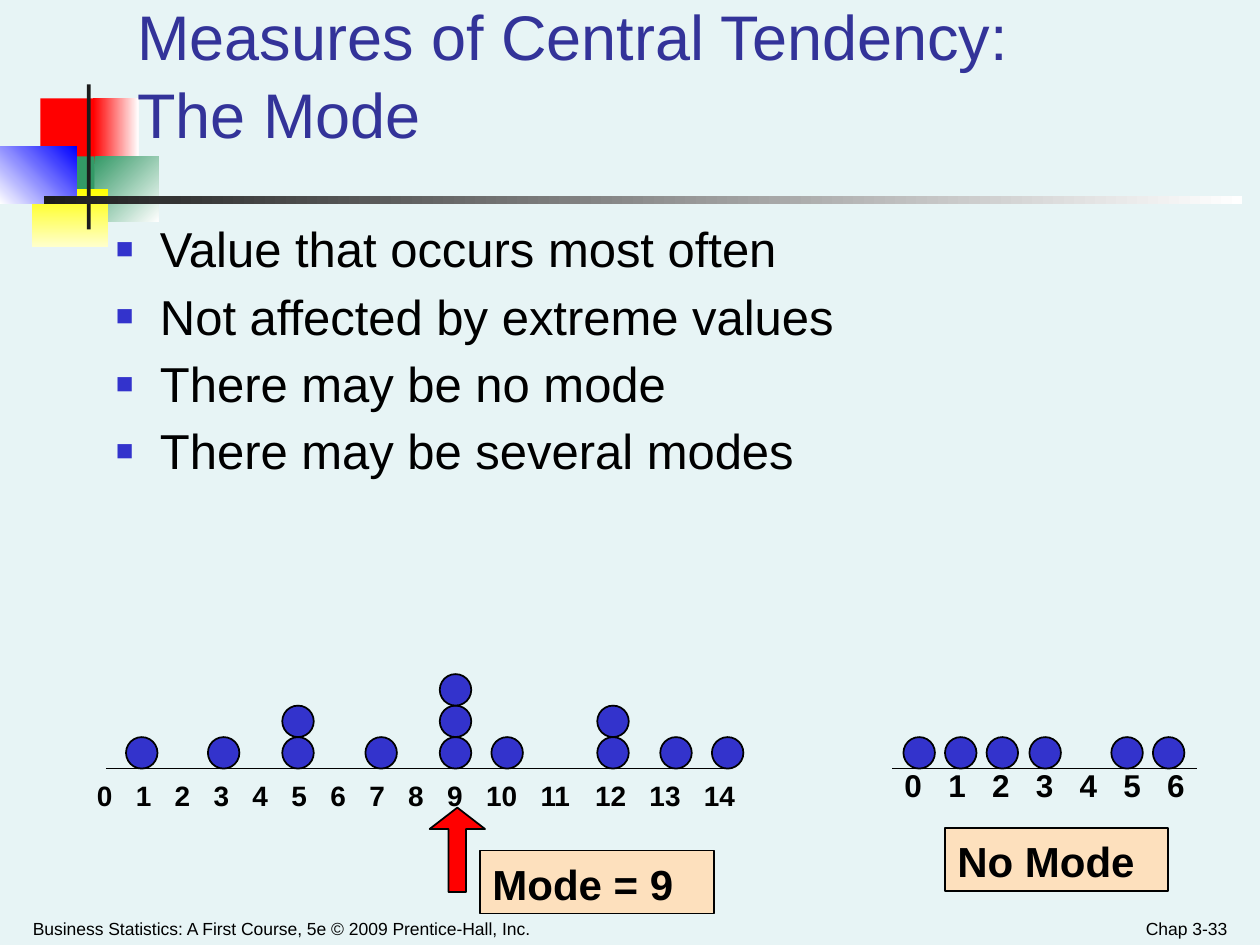
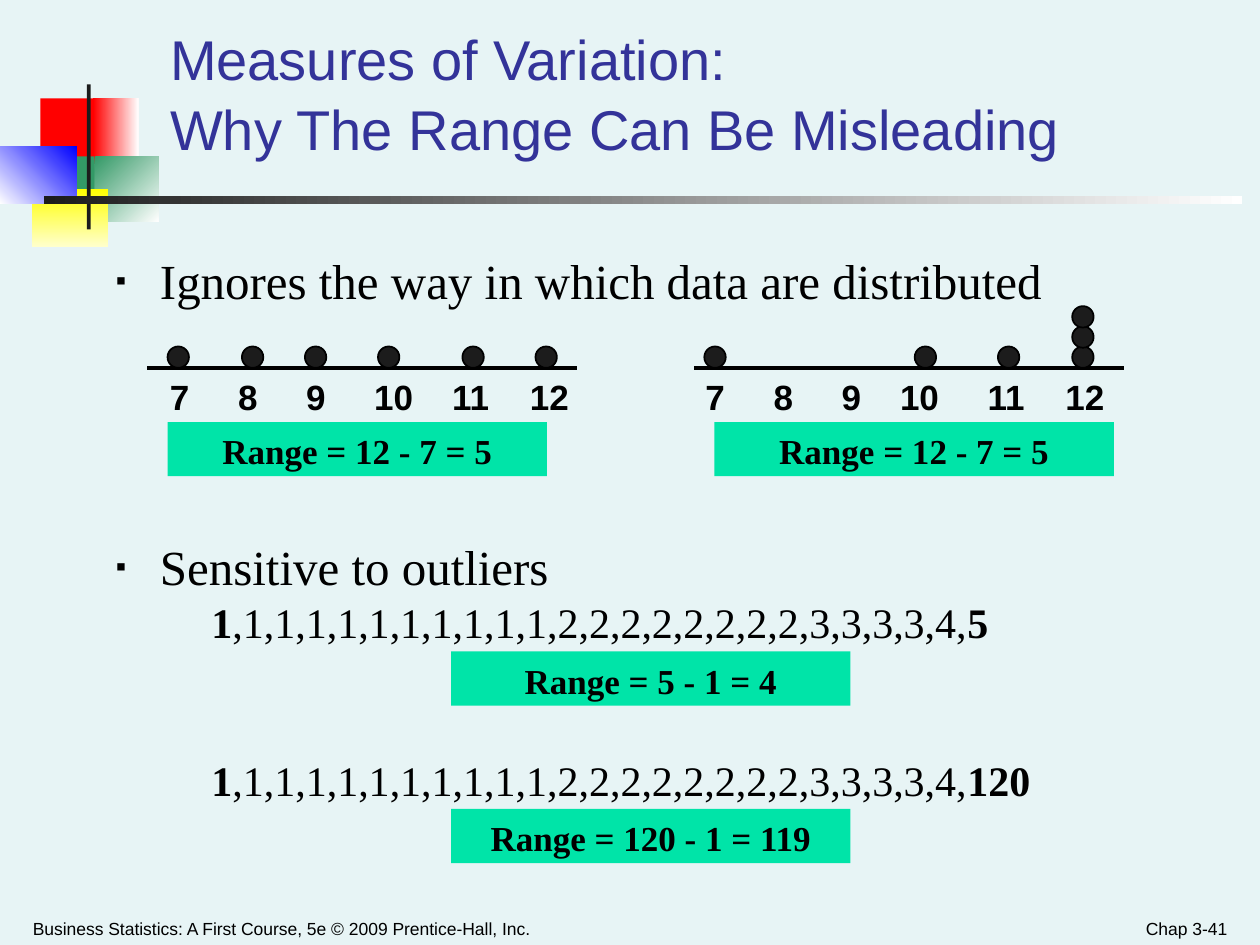
"""Build two statistics slides: the mode and the pitfalls of the range."""
from itertools import accumulate

from lxml import etree
from pptx import Presentation
from pptx import util as u
from pptx.dml.color import RGBColor
from pptx.enum import shapes, text
from pptx.oxml import ns

COLOURS = {
    "page": "E7F4F5", "title": "333399", "ink": "000000", "charcoal": "1C1C1C",
    "red": "FF0000", "green": "339966", "yellow": "FFFF00", "cream": "FFFFCC",
    "blue": "0000FF", "white": "FFFFFF", "dot": "3333CC", "peach": "FDE0BD", "mint": "00E4A8",
}
SANS, SERIF = "Arial", "Times New Roman"
RECT, OVAL, ARROW = (shapes.MSO_SHAPE.RECTANGLE, shapes.MSO_SHAPE.OVAL, shapes.MSO_SHAPE.UP_ARROW)
LEFT, CENTER, RIGHT = text.PP_ALIGN.LEFT, text.PP_ALIGN.CENTER, text.PP_ALIGN.RIGHT
TOP, BOTTOM = text.MSO_ANCHOR.TOP, text.MSO_ANCHOR.BOTTOM


def add_figure(slide, kind, at, fill, outline=None):
    """Add a preset shape with a plain fill, or a gradient given as (start, end, angle)."""
    figure = slide.shapes.add_shape(kind, *map(u.Inches, at))
    figure.shadow.inherit = False
    if isinstance(fill, tuple):
        start, end, angle = fill
        figure.fill.gradient()
        figure.fill.gradient_angle = -angle % 360
        for stop, colour in zip(figure.fill.gradient_stops, (start, end)):
            stop.color.rgb = RGBColor.from_string(COLOURS[colour])
    else:
        figure.fill.solid()
        figure.fill.fore_color.rgb = RGBColor.from_string(COLOURS[fill])
    if outline:
        figure.line.color.rgb = RGBColor.from_string(COLOURS[outline])
        figure.line.width = u.Pt(1)
    else:
        figure.line.fill.background()
    return figure


def write(slide, at, words, size, font=SANS, colour="ink", bold=False, align=LEFT,
          anchor=TOP, inset=0.1, holder=None):
    """Write words into the holder, or into a new text box, and return the paragraphs."""
    holder = holder or slide.shapes.add_textbox(*map(u.Inches, at))
    frame = holder.text_frame
    frame.word_wrap = True
    frame.vertical_anchor = anchor
    frame.margin_left = frame.margin_right = u.Inches(inset)
    frame.margin_top = frame.margin_bottom = u.Inches(0.05)
    frame.text = words
    for paragraph in frame.paragraphs:
        paragraph.alignment = align
        paragraph.line_spacing = 1.04
        for run in paragraph.runs:
            run.font.name, run.font.size, run.font.bold = font, u.Pt(size), bold
            run.font.color.rgb = RGBColor.from_string(COLOURS[colour])
    return frame.paragraphs


ornaments = [
    ((0.32, 0.78, 0.48, 0.52), "red"),
    ((0.74, 0.78, 0.36, 0.52), ("red", "white", 0)),
    ((0.75, 1.24, 0.51, 0.52), ("green", "white", 45)),
    ((0.43, 1.24, 0.32, 0.52), "green"),
    ((0.25, 1.5, 0.61, 0.46), ("yellow", "cream", 90)),
    ((0, 1.16, 0.61, 0.46), ("white", "blue", 315)),
    ((0.69, 0.67, 0.03, 1.15), "charcoal"),
    ((0.35, 1.56, 9.51, 0.06), ("charcoal", "white", 0)),
]

mode_page = {
    "title": "Measures of Central Tendency:\vThe Mode",
    "title_at": (1, 0.17, 8.52, 1.08), "title_size": 36, "number": "Chap 3-33",
    "points": ["Value that occurs most often", "Not affected by extreme values",
               "There may be no mode", "There may be several modes"],
    "points_top": 1.67, "font": SANS, "bullet": "■", "bullet_colour": "dot", "gap": 3.5,
    "dot": 0.25, "step": 0.25, "dot_colour": "dot", "axis_weight": 1,
    "axes": [
        {"span": (0.84, 5.76), "y": 6.1, "values": range(15), "spaces": [3] * 14,
         "size": 16, "labels_at": (0.67, 6.12),
         "stacks": [(1, 1), (1.65, 1), (2.24, 2), (2.9, 1), (3.49, 3), (3.9, 1),
                    (4.74, 2), (5.24, 1), (5.65, 1)]},
        {"span": (7.08, 9.5), "y": 6.1, "values": range(7), "spaces": [3] * 6,
         "size": 18, "labels_at": (7.08, 6.02),
         "stacks": [(x, 1) for x in (7.17, 7.5, 7.83, 8.17, 8.82, 9.15)]},
    ],
    "callouts": [((3.81, 6.75, 1.86, 0.5), "Mode = 9"), ((7.5, 6.57, 1.77, 0.5), "No Mode")],
    "callout_style": {"size": 24, "font": SANS, "align": LEFT},
    "callout_fill": ("peach", "ink"),
}
range_page = {
    "title": "Measures of Variation:\vWhy The Range Can Be Misleading",
    "title_at": (1.26, 0.25, 8.07, 1.08), "title_size": 32, "number": "Chap 3-41",
    "points": ["Ignores the way in which data are distributed", "Sensitive to outliers"],
    "points_top": 1.92, "font": SERIF, "bullet": "▪", "bullet_colour": "ink", "gap": 128.5,
    "dot": 0.17, "step": 0.16, "dot_colour": "charcoal", "axis_weight": 2.25,
    "axes": [
        {"span": (1.17, 4.58), "y": 2.92, "values": range(7, 13), "spaces": [5, 5, 5, 4, 4],
         "size": 20, "labels_at": (1.25, 2.92),
         "stacks": [(x, 1) for x in (1.33, 1.92, 2.42, 3, 3.67, 4.25)]},
        {"span": (5.51, 8.92), "y": 2.92, "values": range(7, 13), "spaces": [5, 5, 4, 5, 4],
         "size": 20, "labels_at": (5.5, 2.92),
         "stacks": [(5.59, 1), (7.26, 1), (7.92, 1), (8.51, 3)]},
    ],
    "callouts": [((1.33, 3.35, 3.01, 0.43), "Range = 12 - 7 = 5"),
                 ((5.67, 3.35, 3.17, 0.43), "Range = 12 - 7 = 5"),
                 ((3.58, 5.17, 3.17, 0.43), "Range = 5 - 1 = 4"),
                 ((3.58, 6.42, 3.17, 0.43), "Range = 120 - 1 = 119")],
    "callout_style": {"size": 20, "font": SERIF, "align": CENTER},
    "callout_fill": ("mint", None),
}

deck = Presentation()
deck.slide_width, deck.slide_height = u.Inches(10), u.Inches(7.5)
backdrop = deck.slide_master.background.fill
backdrop.solid()
backdrop.fore_color.rgb = RGBColor.from_string(COLOURS["page"])

for page in (mode_page, range_page):
    slide = deck.slides.add_slide(deck.slide_layouts[6])
    for at, fill in ornaments:
        add_figure(slide, RECT, at, fill)
    write(slide, (0.17, 7.15, 5.08, 0.35),
          "Business Statistics: A First Course, 5e © 2009 Prentice-Hall, Inc.",
          10, anchor=BOTTOM, inset=0.09)
    write(slide, (7.5, 7.15, 2.33, 0.35), page["number"], 10, align=RIGHT,
          anchor=BOTTOM, inset=0.09)
    write(slide, page["title_at"], page["title"], page["title_size"], colour="title",
          anchor=BOTTOM, inset=0.09)

    points = write(slide, (0.83, page["points_top"], 8.83, 4.5), "\n".join(page["points"]),
                   28, page["font"], inset=0.09)
    for index, point in enumerate(points):
        if index:
            point.space_before = u.Pt(page["gap"])
        properties = point._p.get_or_add_pPr()
        properties.set("marL", str(u.Inches(0.35)))
        properties.set("indent", str(-u.Inches(0.35)))
        tint = etree.SubElement(properties, ns.qn("a:buClr"))
        etree.SubElement(tint, ns.qn("a:srgbClr"), val=COLOURS[page["bullet_colour"]])
        etree.SubElement(properties, ns.qn("a:buSzPct"), val="60000")
        etree.SubElement(properties, ns.qn("a:buFont"), typeface=SANS)
        etree.SubElement(properties, ns.qn("a:buChar"), char=page["bullet"])

    for axis in page["axes"]:
        start, end = axis["span"]
        y = axis["y"]
        baseline = slide.shapes.add_connector(shapes.MSO_CONNECTOR.STRAIGHT,
                                              *map(u.Inches, (start, y, end, y)))
        baseline.line.color.rgb = RGBColor.from_string(COLOURS["ink"])
        baseline.line.width = u.Pt(page["axis_weight"])
        etree.SubElement(baseline._element.spPr, ns.qn("a:effectLst"))

        for x, count in axis["stacks"]:
            for level in range(count):
                top = y - page["dot"] - level * page["step"]
                add_figure(slide, OVAL, (x, top, page["dot"], page["dot"]),
                           page["dot_colour"], "ink")

        labels = [str(value) for value in axis["values"]]
        scale = write(slide, (*axis["labels_at"], end - start + 0.6, 0.4),
                      "\t".join(labels), axis["size"], bold=True)[0]
        digit = 0.556 * axis["size"] / 72
        advances = [digit * (len(label) + spaces / 2)
                    for label, spaces in zip(labels, axis["spaces"])]
        stops = etree.SubElement(scale._p.get_or_add_pPr(), ns.qn("a:tabLst"))
        for position in accumulate(advances):
            etree.SubElement(stops, ns.qn("a:tab"), pos=str(u.Inches(position)), algn="l")

    for at, words in page["callouts"]:
        callout = add_figure(slide, RECT, at, *page["callout_fill"])
        write(slide, at, words, bold=True, holder=callout, **page["callout_style"])

    if page is mode_page:
        pointer = add_figure(slide, ARROW, (3.41, 6.41, 0.44, 0.67), "red", "ink")
        pointer.adjustments[0], pointer.adjustments[1] = 0.315, 0.387
    else:
        middle = ",1" * 10 + ",2" * 8 + ",3" * 4 + ",4,"
        for top, largest in ((4.67, "5"), (5.92, "120")):
            sample = write(slide, (1.58, top, 8, 0.5), "1", 24, SERIF, bold=True)[0]
            for piece, bold in ((middle, False), (largest, True)):
                run = sample.add_run()
                run.text = piece
                run.font.name, run.font.size, run.font.bold = SERIF, u.Pt(24), bold
                run.font.color.rgb = RGBColor.from_string(COLOURS["ink"])

deck.save("out.pptx")
